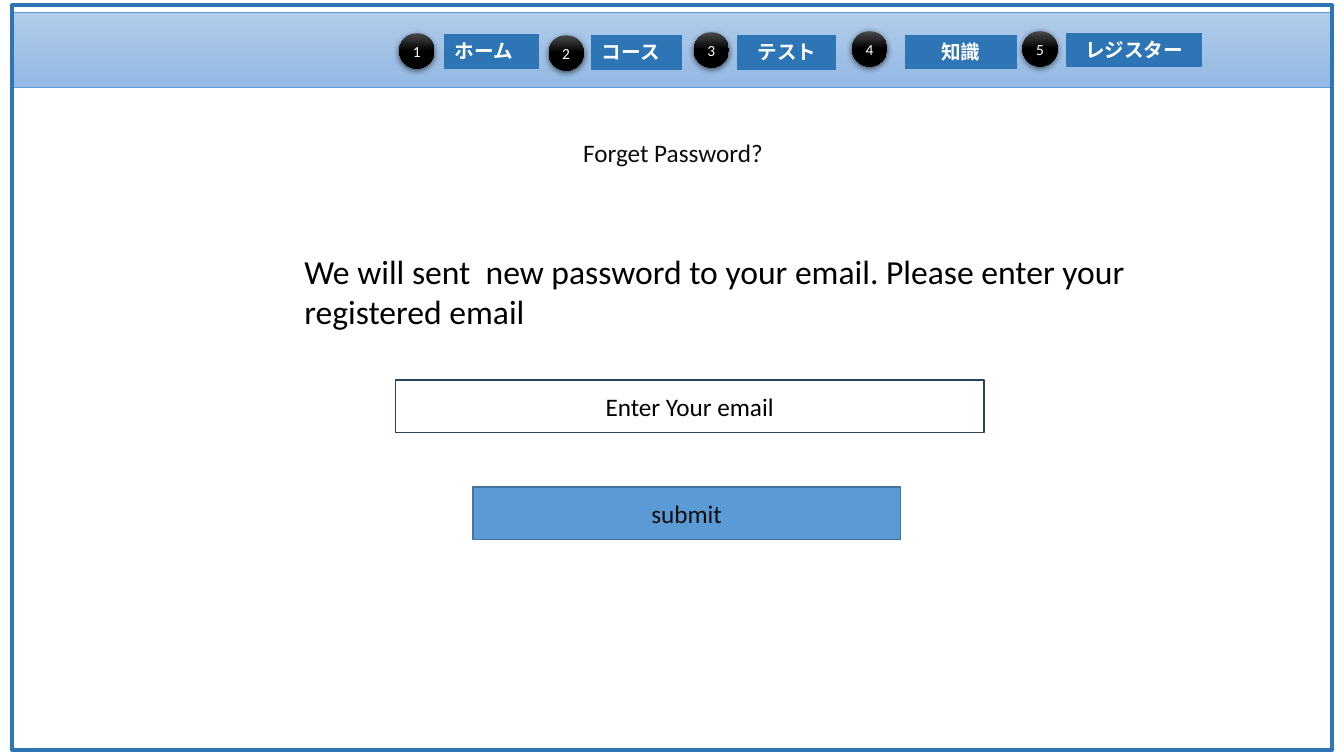
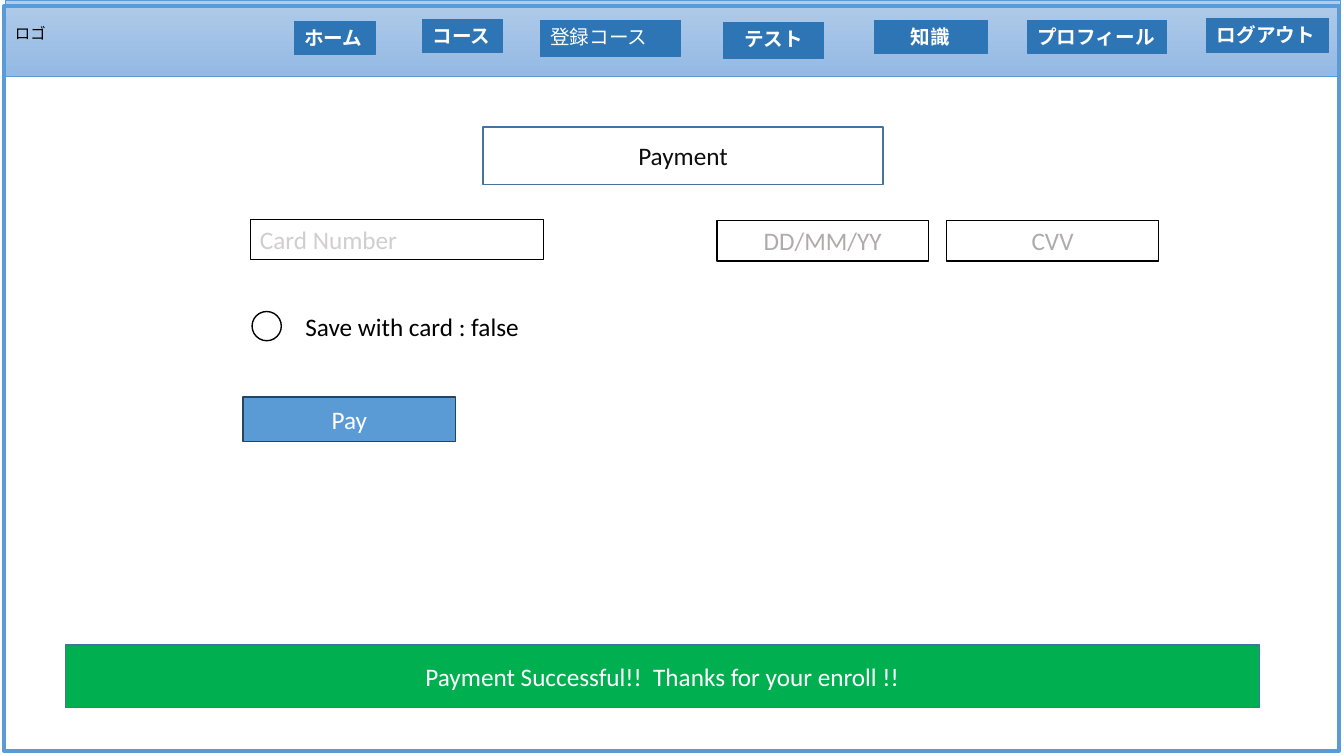
from dataclasses import dataclass

from lxml import etree
from pptx import Presentation
from pptx.dml.color import RGBColor
from pptx.enum.shapes import MSO_SHAPE
from pptx.enum.text import MSO_ANCHOR, PP_ALIGN
from pptx.oxml import parse_xml
from pptx.oxml.ns import nsdecls, qn
from pptx.util import Inches, Pt

RECTANGLE, OVAL = MSO_SHAPE.RECTANGLE, MSO_SHAPE.OVAL
TOP, MIDDLE = MSO_ANCHOR.TOP, MSO_ANCHOR.MIDDLE
LEFT, CENTER = PP_ALIGN.LEFT, PP_ALIGN.CENTER


@dataclass(frozen=True)
class Theme:
    font: str = "Calibri"
    small: int = 11
    nav: int = 14
    body: int = 18
    lead: int = 24
    black: str = "000000"
    ink: str = "0D0D0D"
    white: str = "FFFFFF"
    hint: str = "AFABAB"
    pale_hint: str = "D0CECE"
    blue: str = "5B9BD5"
    deep_blue: str = "2E75B6"
    outline: str = "43739E"
    dark_outline: str = "28445D"
    success: str = "00B050"
    band: tuple = ((0, "B1CBE9"), (1, "93B9E4"))
    badge: tuple = ((0, "4B4B4B"), (0.5, "000000"))


theme = Theme()


def add_box(slide, kind, box, text="", size=theme.body, color=theme.black, fill=None,
            line=None, width=1, align=CENTER, anchor=MIDDLE, bold=False):
    place = [Inches(value) for value in box]
    if kind is None:
        shape = slide.shapes.add_textbox(*place)
    else:
        shape = slide.shapes.add_shape(kind, *place)
        shape.shadow.inherit = False
    if fill:
        shape.fill.solid()
        shape.fill.fore_color.rgb = RGBColor.from_string(fill)
    else:
        shape.fill.background()
    if line:
        shape.line.color.rgb = RGBColor.from_string(line)
        shape.line.width = Pt(width)
    else:
        shape.line.fill.background()
    if text:
        frame = shape.text_frame
        frame.word_wrap = True
        frame.vertical_anchor = anchor
        paragraph = frame.paragraphs[0]
        paragraph.alignment = align
        run = paragraph.add_run()
        run.text = text
        run.font.name = theme.font
        run.font.size = Pt(size)
        run.font.bold = bold
        run.font.color.rgb = RGBColor.from_string(color)
    return shape


def shade_down(shape, stops):
    shape.fill.gradient()
    shape.fill.gradient_angle = 270
    for stop, (position, color) in zip(shape.fill.gradient_stops, stops):
        stop.position = position
        stop.color.rgb = RGBColor.from_string(color)


presentation = Presentation()
presentation.slide_width = Inches(13.33)
presentation.slide_height = Inches(7.5)
blank = presentation.slide_layouts[6]
password_slide = presentation.slides.add_slide(blank)
payment_slide = presentation.slides.add_slide(blank)

pages = [
    (password_slide, (0.11, 0.12, 13.11, 0.75), (0.12, 0.05, 13.09, 7.39), theme.deep_blue, [
        ("ホーム", (4.41, 0.34, 0.93, 0.34), LEFT, True),
        ("コース", (5.87, 0.35, 0.89, 0.34), LEFT, True),
        ("テスト", (7.32, 0.35, 0.97, 0.34), CENTER, True),
        ("知識", (8.98, 0.35, 1.1, 0.33), CENTER, True),
        ("レジスター", (10.58, 0.33, 1.34, 0.33), CENTER, True),
    ]),
    (payment_slide, (0.05, 0, 13.24, 0.76), (0.04, 0.06, 13.24, 7.39), theme.blue, [
        ("ホーム", (2.92, 0.21, 0.8, 0.33), LEFT, True),
        ("コース", (4.19, 0.19, 0.79, 0.33), LEFT, True),
        ("登録コース", (5.36, 0.2, 1.39, 0.36), LEFT, False),
        ("テスト", (7.18, 0.22, 0.99, 0.36), CENTER, True),
        ("知識", (8.67, 0.2, 1.12, 0.33), CENTER, True),
        ("プロフィール", (10.19, 0.2, 1.38, 0.33), LEFT, True),
        ("ログアウト", (11.97, 0.18, 1.21, 0.34), LEFT, True),
    ]),
]
for slide, band_box, frame_box, frame_color, nav_items in pages:
    band = add_box(slide, RECTANGLE, band_box, line=theme.blue, width=0.5)
    shade_down(band, theme.band)
    for label, box, align, bold in nav_items:
        add_box(slide, RECTANGLE, box, label, theme.nav, theme.white, theme.deep_blue,
                theme.deep_blue, 0.75, align, TOP, bold)
    add_box(slide, RECTANGLE, frame_box, line=frame_color, width=3)

badge_places = [(3.96, 0.33), (5.44, 0.35), (6.88, 0.32), (8.45, 0.31), (10.14, 0.31)]
for number, (left, top) in enumerate(badge_places, 1):
    badge = add_box(password_slide, OVAL, (left, top, 0.35, 0.35), str(number),
                    theme.small, theme.white)
    badge.text_frame.word_wrap = False
    shade_down(badge, theme.badge)
    effects = badge._element.spPr.find(qn("a:effectLst"))
    effects.append(parse_xml(
        f'<a:outerShdw {nsdecls("a")} blurRad="{Pt(4.5)}" dist="{Pt(1.5)}" dir="5400000" '
        f'algn="ctr" rotWithShape="0"><a:srgbClr val="{theme.black}">'
        '<a:alpha val="63000"/></a:srgbClr></a:outerShdw>'))

add_box(password_slide, None, (4.69, 1.23, 3.97, 0.57), "Forget Password?", color=theme.ink)
add_box(password_slide, None, (2.92, 2.44, 8.76, 0.91),
        "We will sent  new password to your email. Please enter your registered email",
        theme.lead, align=LEFT, anchor=TOP)
add_box(password_slide, RECTANGLE, (3.92, 3.77, 5.84, 0.52), "Enter Your email",
        line=theme.dark_outline)
add_box(password_slide, RECTANGLE, (4.69, 4.83, 4.24, 0.52), "submit", color=theme.ink,
        fill=theme.blue, line=theme.outline)

add_box(payment_slide, None, (0.05, 0.19, 1.4, 0.42), "ロゴ", theme.small,
        align=LEFT, anchor=TOP)
add_box(payment_slide, RECTANGLE, (4.79, 1.26, 3.97, 0.57), "Payment", color=theme.ink,
        fill=theme.white, line=theme.outline)
add_box(payment_slide, RECTANGLE, (2.48, 2.18, 2.91, 0.4), "Card Number",
        color=theme.pale_hint, line=theme.black, width=0.75, align=LEFT, anchor=TOP)
for left, hint in [(7.11, "DD/MM/YY"), (9.39, "CVV")]:
    add_box(payment_slide, RECTANGLE, (left, 2.19, 2.1, 0.4), hint, color=theme.hint,
            line=theme.black)
add_box(payment_slide, OVAL, (2.5, 3.09, 0.29, 0.29), line=theme.black)
add_box(payment_slide, None, (2.93, 3.04, 2.43, 0.4), "Save with card : false",
        align=LEFT, anchor=TOP)
add_box(payment_slide, RECTANGLE, (2.41, 3.94, 2.11, 0.44), "Pay", color=theme.white,
        fill=theme.blue, line=theme.dark_outline)
add_box(payment_slide, RECTANGLE, (0.65, 6.4, 11.84, 0.62),
        "Payment Successful!!  Thanks for your enroll !!", color=theme.white,
        fill=theme.success, line=theme.outline)

presentation.save("out.pptx")
